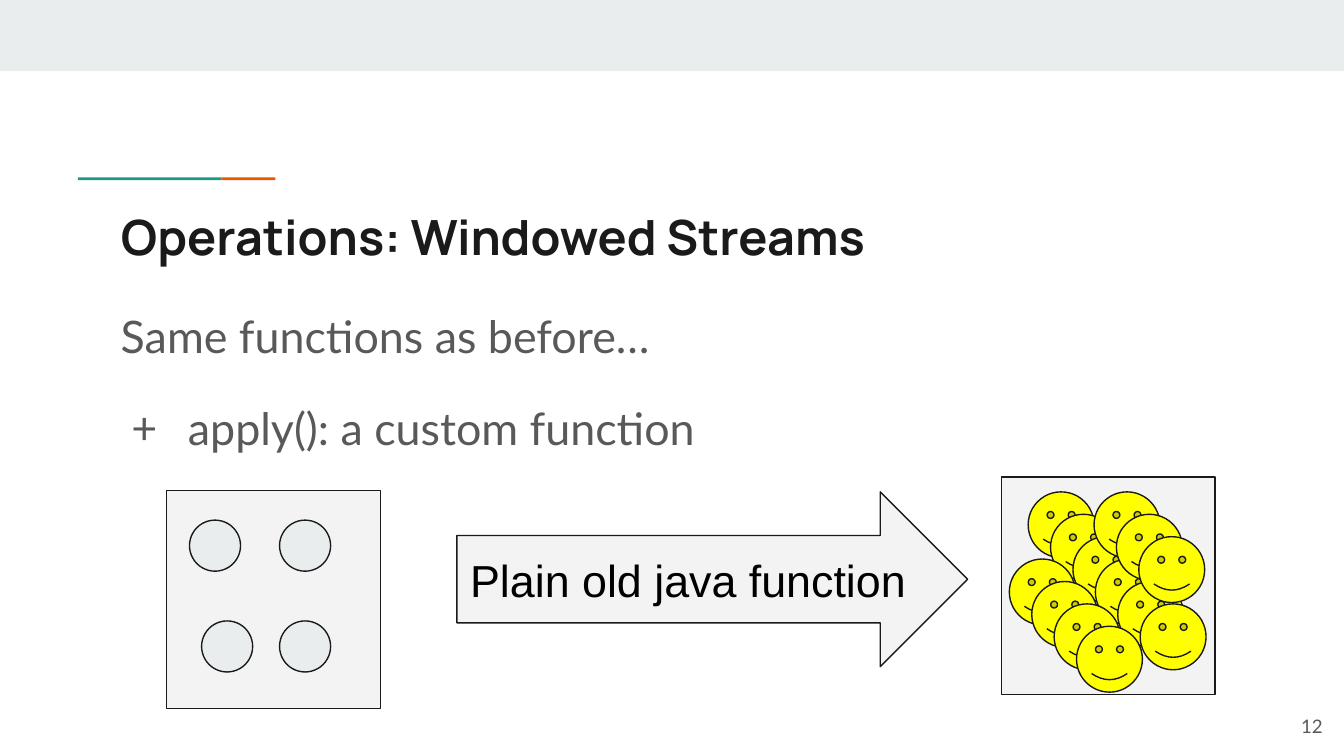
from lxml import etree
from pptx import Presentation
from pptx.dml.color import RGBColor
from pptx.enum.shapes import MSO_SHAPE as Shape
from pptx.enum.text import MSO_ANCHOR as Anchor, PP_ALIGN as Align
from pptx.oxml.ns import qn
from pptx.util import Inches, Pt

INK = RGBColor(0x1A, 0x1A, 0x1A)
GREY = RGBColor(0x59, 0x59, 0x59)
BLACK = RGBColor(0, 0, 0)
BAND = RGBColor(0xE9, 0xED, 0xEE)
PANEL = RGBColor(0xF3, 0xF3, 0xF3)
ORANGE = RGBColor(0xEB, 0x56, 0x00)
TEAL = RGBColor(0x1A, 0x99, 0x88)
YELLOW = RGBColor(0xFF, 0xFF, 0x00)

# Widescreen slide, 16:9
presentation = Presentation()
presentation.slide_width = Inches(10)
presentation.slide_height = Inches(10 * 9 / 16)
slide = presentation.slides.add_slide(presentation.slide_layouts[5])


def add_shape(kind, left, top, width, height, fill, outlined=True):
    shape = slide.shapes.add_shape(
        kind, Inches(left), Inches(top), Inches(width), Inches(height))
    shape.shadow.inherit = False
    shape.fill.solid()
    shape.fill.fore_color.rgb = fill
    if outlined:
        shape.line.color.rgb = INK
        shape.line.width = Pt(0.75)
    else:
        shape.line.fill.background()
    return shape


def set_text(shape, text, font, size, color, anchor=Anchor.TOP, align=Align.LEFT, bold=False):
    frame = shape.text_frame
    frame.text = text
    frame.word_wrap = True
    frame.vertical_anchor = anchor
    frame.margin_left = frame.margin_right = Inches(0.1)
    frame.margin_top = frame.margin_bottom = Inches(0.1)
    for paragraph in frame.paragraphs:
        paragraph.alignment = align
        for run in paragraph.runs:
            run.font.name = font
            run.font.size = Pt(size)
            run.font.color.rgb = color
            run.font.bold = bold


# Top band and two-colour accent line
add_shape(Shape.RECTANGLE, 0, 0, 10, 0.53, BAND, outlined=False)
for left, width, color in [(0.58, 1.07, TEAL), (1.65, 0.4, ORANGE)]:
    add_shape(Shape.RECTANGLE, left, 1.32, width, 0.02, color, outlined=False)

# Title
title = slide.shapes.title
title.left, title.top = Inches(0.8), Inches(1.44)
title.width, title.height = Inches(8.41), Inches(0.59)
set_text(title, "Operations: Windowed Streams", "Manrope", 26, INK, bold=True)

# Body text with a plus sign as bullet
body = slide.shapes.add_textbox(Inches(0.8), Inches(2.14), Inches(8.41), Inches(1.52))
set_text(body, "Same functions as before…\napply(): a custom function", "Lato", 24, GREY)
for paragraph in body.text_frame.paragraphs:
    paragraph.line_spacing = 1.15
bullet_item = body.text_frame.paragraphs[1]
bullet_item.space_before = Pt(16)
properties = bullet_item._p.get_or_add_pPr()
properties.set("marL", str(Inches(0.5)))
properties.set("indent", str(Inches(-0.42)))
etree.SubElement(properties, qn("a:buFont")).set("typeface", "Lato")
etree.SubElement(properties, qn("a:buChar")).set("char", "+")

# Input window with its elements
add_shape(Shape.RECTANGLE, 1.24, 3.65, 1.59, 1.62, PANEL)
for left, top in [(1.41, 3.87), (2.08, 3.87), (1.5, 4.62), (2.08, 4.62)]:
    add_shape(Shape.OVAL, left, top, 0.38, 0.38, BAND)

# Function arrow
arrow = add_shape(Shape.RIGHT_ARROW, 3.4, 3.66, 3.8, 1.3, PANEL)
set_text(arrow, "Plain old java function", "Arial", 24, BLACK, anchor=Anchor.MIDDLE)

# Output window with diagonal chains of smileys
add_shape(Shape.RECTANGLE, 7.45, 3.55, 1.59, 1.62, PANEL)
STEP = 1 / 6
for left, top, count in [(7.65, 3.66, 6), (7.51, 4.16, 4), (8.14, 3.66, 3)]:
    for index in range(count):
        add_shape(Shape.SMILEY_FACE, left + index * STEP, top + index * STEP,
                  0.49, 0.49, YELLOW)

# Slide number
number = slide.shapes.add_textbox(Inches(9.34), Inches(5.19), Inches(0.6), Inches(0.43))
set_text(number, "12", "Lato", 10, GREY, anchor=Anchor.MIDDLE, align=Align.RIGHT)

presentation.save("out.pptx")
